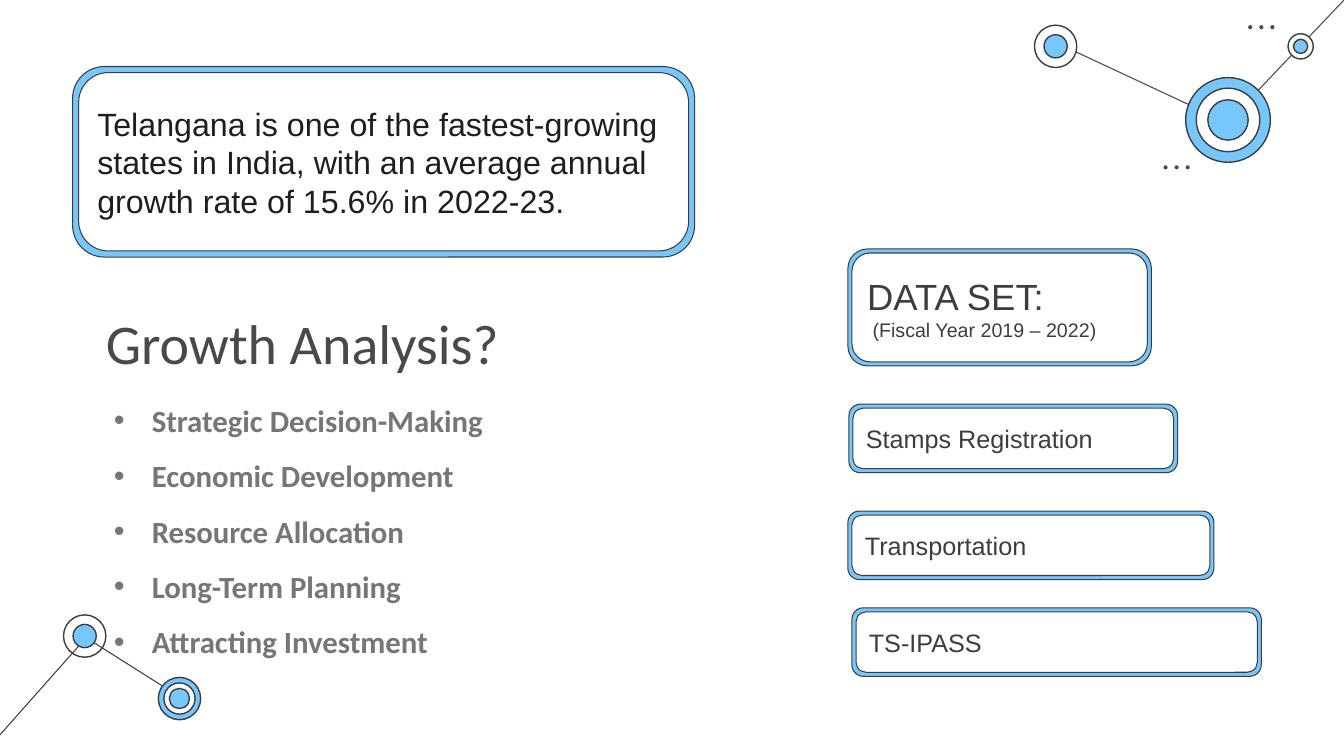
from lxml import etree
from pptx import Presentation
from pptx.dml.color import RGBColor
from pptx.enum.shapes import MSO_CONNECTOR, MSO_SHAPE
from pptx.enum.text import MSO_ANCHOR, MSO_AUTO_SIZE, PP_ALIGN
from pptx.oxml.ns import qn
from pptx.util import Pt

PX = 9144  # 100 px to the inch
BLUE, WHITE, DARK, GRAY = "77C6FC", "FFFFFF", "3D3D3D", "494949"
MUTED, BLACK = "767676", "1E1E1E"

CONNECTIONS = [
    (86, 633, 184, 695, DARK), (0, 729, 86, 632, DARK),
    (1218, 122, 1049, 43, GRAY), (1334, -1, 1218, 121, GRAY),
]
# Centre, then diameter and fill of each disc from the outside in
NODES = [
    (84, 631, [(42, None), (23, BLUE)]),
    (178, 693, [(42, BLUE), (31, WHITE), (20, BLUE)]),
    (1218, 119, [(84, BLUE), (63, WHITE), (40, BLUE)]),
    (1047, 46, [(42, WHITE), (23, BLUE)]),
    (1290, 46, [(25, WHITE), (14, BLUE)]),
]
DOT_ROWS = [(1238, 25), (1154, 164)]
REASONS = [
    "Strategic Decision-Making", "Economic Development", "Resource Allocation",
    "Long-Term Planning", "Attracting Investment",
]
# Box, border width, lines of text with their sizes, text colour
CARDS = [
    ((841, 247, 301, 116), 4,
     [("DATA SET:", 26), (" (Fiscal Year 2019 – 2022)", 14)], DARK),
    ((842, 401, 326, 68), 4, [("Stamps Registration", 18)], DARK),
    ((841, 507, 363, 68), 4, [("Transportation", 18)], DARK),
    ((845, 603, 406, 68), 4, [("TS-IPASS", 18)], DARK),
    ((72, 66, 617, 189), 6,
     [("Telangana is one of the fastest-growing states in India, with an "
       "average annual growth rate of 15.6% in 2022-23.", 23)], BLACK),
]


def color(value):
    return RGBColor.from_string(value)


def emu(*lengths):
    return [length * PX for length in lengths]


def set_font(paragraph, name, size, font_color, bold=False):
    font = paragraph.font
    font.name, font.size, font.bold = name, Pt(size), bold
    font.color.rgb = color(font_color)


def add_filled_shape(slide, kind, box, fill, line=None, width=0.75):
    shape = slide.shapes.add_shape(kind, *[round(length) for length in emu(*box)])
    shape.shadow.inherit = False
    if fill:
        shape.fill.solid()
        shape.fill.fore_color.rgb = color(fill)
    else:
        shape.fill.background()
    if line:
        shape.line.color.rgb = color(line)
        shape.line.width = Pt(width)
    else:
        shape.line.fill.background()
    return shape


def add_connection(slide, x1, y1, x2, y2, line):
    connector = slide.shapes.add_connector(MSO_CONNECTOR.STRAIGHT, *emu(x1, y1, x2, y2))
    connector.line.color.rgb = color(line)
    connector.line.width = Pt(0.75)
    etree.SubElement(connector._element.spPr, qn("a:effectLst"))


def add_node(slide, x, y, discs):
    for diameter, fill in discs:
        box = (x - diameter / 2, y - diameter / 2, diameter, diameter)
        add_filled_shape(slide, MSO_SHAPE.OVAL, box, fill, DARK, 1)


def add_dots(slide, left, top):
    for index in range(3):
        add_filled_shape(slide, MSO_SHAPE.OVAL, (left + 11 * index, top, 4, 4), GRAY)


def add_card(slide, box, border, lines, font_color):
    """Draw a blue frame with a white rounded text panel inset in it."""
    left, top, width, height = box
    add_filled_shape(slide, MSO_SHAPE.ROUNDED_RECTANGLE, box, BLUE, DARK)
    inner = (left + border, top + border, width - 2 * border, height - 2 * border)
    panel = add_filled_shape(slide, MSO_SHAPE.ROUNDED_RECTANGLE, inner, WHITE, DARK)
    frame = panel.text_frame
    frame.word_wrap = True
    frame.vertical_anchor = MSO_ANCHOR.MIDDLE
    frame.margin_left = frame.margin_right = 10 * PX
    frame.margin_top = frame.margin_bottom = 10 * PX
    frame.text = "\n".join(text for text, _ in lines)
    for paragraph, (_, size) in zip(frame.paragraphs, lines):
        paragraph.alignment = PP_ALIGN.LEFT
        set_font(paragraph, "Arial", size, font_color)


def fill_placeholder(placeholder, box, lines, size, font_color, bold=False, spacing=1.0):
    placeholder.left, placeholder.top, placeholder.width, placeholder.height = emu(*box)
    frame = placeholder.text_frame
    frame.word_wrap = True
    frame.auto_size = MSO_AUTO_SIZE.NONE
    frame.vertical_anchor = MSO_ANCHOR.TOP
    frame.text = "\n".join(lines)
    for paragraph in frame.paragraphs:
        paragraph.alignment = PP_ALIGN.LEFT
        paragraph.line_spacing = spacing
        paragraph.space_before = Pt(0)
        set_font(paragraph, "Calibri", size, font_color, bold)


def main():
    presentation = Presentation()
    presentation.slide_width, presentation.slide_height = emu(1333, 750)
    slide = presentation.slides.add_slide(presentation.slide_layouts[1])
    fill_placeholder(slide.shapes.title, (95, 301, 501, 77),
                     ["Growth Analysis?"], 40, GRAY)
    fill_placeholder(slide.placeholders[1], (103, 375, 429, 282),
                     REASONS, 22, MUTED, bold=True, spacing=1.5)
    for connection in CONNECTIONS:
        add_connection(slide, *connection)
    for node in NODES:
        add_node(slide, *node)
    for row in DOT_ROWS:
        add_dots(slide, *row)
    for card in CARDS:
        add_card(slide, *card)
    presentation.save("out.pptx")


if __name__ == "__main__":
    main()
